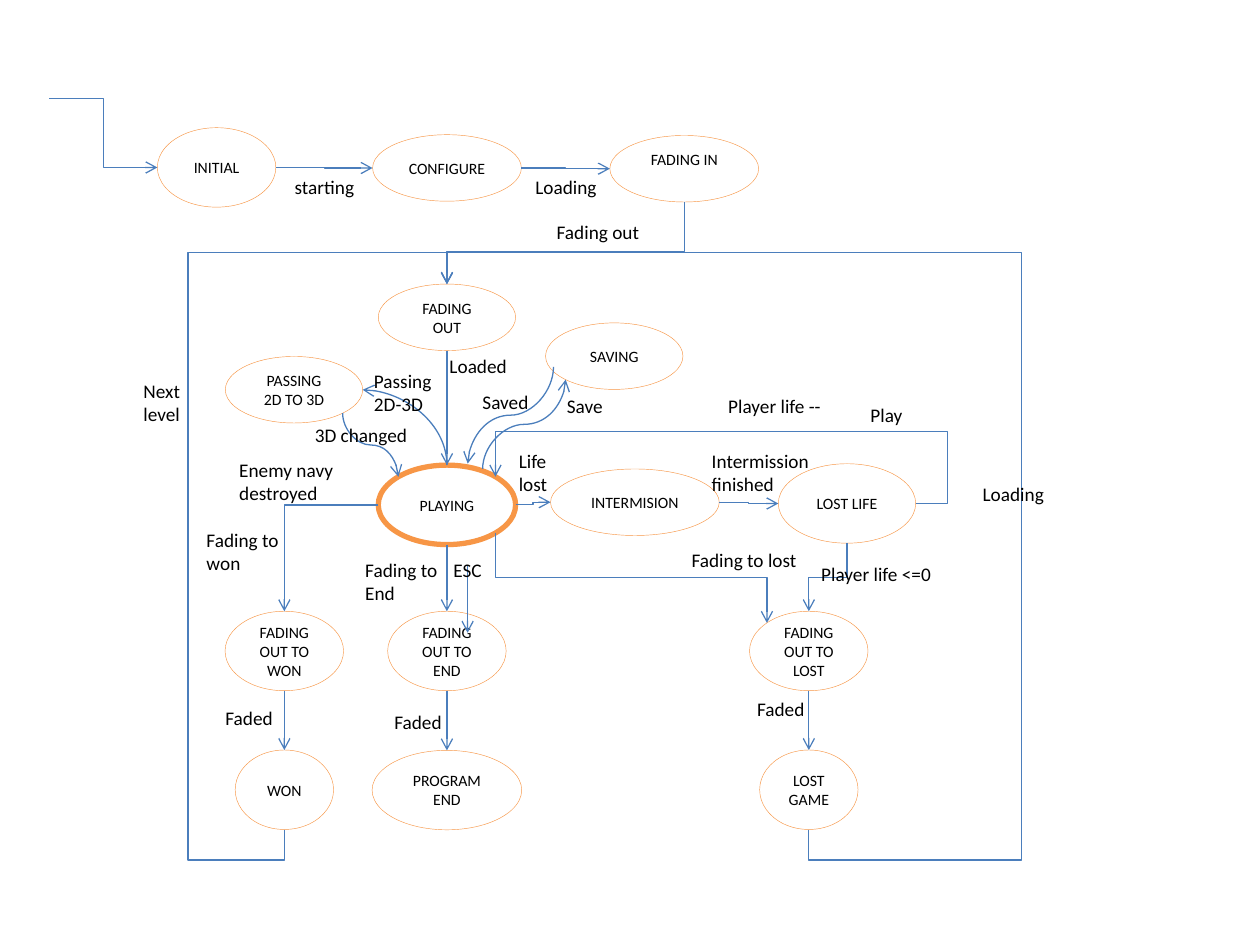
from lxml import etree
from pptx import Presentation
from pptx.dml.color import RGBColor
from pptx.enum.shapes import MSO_CONNECTOR, MSO_SHAPE
from pptx.enum.text import MSO_ANCHOR, MSO_AUTO_SIZE, PP_ALIGN
from pptx.oxml.ns import qn
from pptx.util import Pt

STRAIGHT, ELBOW, CURVE = MSO_CONNECTOR.STRAIGHT, MSO_CONNECTOR.ELBOW, MSO_CONNECTOR.CURVE
PRESETS = {ELBOW: "bentConnector", CURVE: "curvedConnector"}
WHITE = RGBColor(0xFF, 0xFF, 0xFF)
BLACK = RGBColor(0, 0, 0)
ORANGE = RGBColor(0xF7, 0x96, 0x46)
BLUE = RGBColor(0x4B, 0x7E, 0xBC)
FONT = "Calibri"
MIDDLE = "middle"

# key: (text, centre x, centre y, width, height)
STATES = {
    "initial": ("INITIAL", 123.8, 95.7, 67.7, 45.4),
    "configure": ("CONFIGURE", 255.4, 96, 85, 38),
    "fading in": ("FADING IN", 391, 96.4, 85, 38),
    "fading out": ("FADING OUT", 255.4, 181.3, 78.5, 38),
    "passing": ("PASSING 2D TO 3D", 168, 222.7, 78.5, 38),
    "saving": ("SAVING", 351, 203.5, 78.5, 38),
    "playing": ("PLAYING", 255.4, 288.5, 78.5, 45.4),
    "intermission": ("INTERMISION", 362.8, 287, 96.4, 38),
    "lost life": ("LOST LIFE", 484, 287.7, 78.5, 45.4),
    "to won": ("FADING OUT TO WON", 162.5, 372, 67.7, 45.4),
    "to end": ("FADING OUT TO END", 255.4, 372, 67.7, 45.4),
    "to lost": ("FADING OUT TO LOST", 462.2, 372, 67.7, 45.4),
    "won": ("WON", 162.5, 451.3, 56.2, 45.4),
    "program end": ("PROGRAM END", 255.4, 451.5, 85.5, 45.4),
    "lost game": ("LOST GAME", 462.2, 451.3, 56.2, 45.4),
}
CURRENT_STATE = "playing"

# An end is (state, side) or (x, y)
STRAIGHT_ARROWS = [
    (("fading out", "bottom"), ("playing", "top")),
    (("playing", "bottom"), ("to end", "top")),
    (("to end", "bottom"), ("program end", "top")),
    (("to won", "bottom"), ("won", "top")),
    (("to lost", "bottom"), ("lost game", "top")),
    ((267.2, 323.2), (267.2, 361.6)),
]

# (kind, first direction, start, end, positions of the turns)
ROUTED_ARROWS = [
    (ELBOW, "H", (28.2, 56.2), ("initial", "left"), [MIDDLE]),
    (ELBOW, "H", ("initial", "right"), ("configure", "left"), [MIDDLE]),
    (ELBOW, "H", ("configure", "right"), ("fading in", "left"), [MIDDLE]),
    (ELBOW, "V", ("fading in", "bottom"), ("fading out", "top"), [143.6]),
    (ELBOW, "H", ("playing", "right"), ("intermission", "left"), [MIDDLE]),
    (ELBOW, "H", ("intermission", "right"), ("lost life", "left"), [MIDDLE]),
    (ELBOW, "H", ("lost life", "right"), ("playing", "top right"), [541.4, 246.6]),
    (ELBOW, "V", ("lost life", "bottom"), ("to lost", "top"), [MIDDLE]),
    (ELBOW, "V", ("playing", "bottom right"), ("to lost", "top left"), [330]),
    (ELBOW, "H", ("playing", "left"), ("to won", "top"), []),
    (ELBOW, "V", ("won", "bottom"), ("fading out", "top"), [491.6, 107.4, 144.2]),
    (ELBOW, "V", ("lost game", "bottom"), ("fading out", "top"), [491.6, 583.8, 144.2]),
    (CURVE, "V", ("playing", "top"), ("passing", "right"), []),
    (CURVE, "V", ("passing", "bottom right"), ("playing", "top left"), [MIDDLE]),
    (CURVE, "V", (316.3, 209.6), (267.3, 264.9), [MIDDLE]),
    (CURVE, "V", (275.8, 268), ("saving", "bottom left"), [MIDDLE]),
]

# (lines, left, top, width)
LABELS = [
    (["starting"], 161.3, 96.5, 49), (["Loading"], 298.8, 96.5, 49.7),
    (["Fading out"], 311, 122.4, 62), (["Loaded"], 249.8, 198.7, 47.5),
    (["Passing", "2D-3D"], 206.6, 207.4, 47.5), (["3D changed"], 172.8, 238.3, 67.7),
    (["Saved"], 268.6, 219.6, 41), (["Save"], 316.8, 221.8, 35.3),
    (["Player life --"], 409, 221.8, 68.4), (["Play"], 490.3, 226.8, 33.1),
    (["Next", "level"], 74.9, 213.1, 36), (["Enemy navy", "destroyed"], 129.6, 258.5, 71.3),
    (["Life", "lost"], 289.4, 253.4, 31), (["Intermission", "finished"], 399.6, 253.4, 70.6),
    (["Loading"], 554.4, 272.2, 49.7), (["Fading to", "won"], 110.9, 298.1, 56.2),
    (["Fading to", "End"], 201.6, 315.4, 56.2), (["ESC"], 252, 315.4, 31),
    (["Fading to lost"], 388.1, 309.6, 79.2), (["Player life <=0"], 462.2, 317.5, 78.5),
    (["Faded"], 121.7, 400.3, 44.6), (["Faded"], 218.2, 402.5, 41.8),
    (["Faded"], 425.5, 394.6, 41.8),
]

# side: (connection site, x and y as parts of the half axes)
DIAGONAL = 0.7071
SIDES = {
    "top": (0, 0, -1), "top left": (1, -DIAGONAL, -DIAGONAL),
    "left": (2, -1, 0), "bottom left": (3, -DIAGONAL, DIAGONAL),
    "bottom": (4, 0, 1), "bottom right": (5, DIAGONAL, DIAGONAL),
    "right": (6, 1, 0), "top right": (7, DIAGONAL, -DIAGONAL),
}


def end_point(end):
    if end[0] not in STATES:
        return end
    _, x, y, width, height = STATES[end[0]]
    _, part_x, part_y = SIDES[end[1]]
    return x + part_x * width / 2, y + part_y * height / 2


def write_lines(frame, lines, size, align):
    for index, line in enumerate(lines):
        paragraph = frame.paragraphs[0] if index == 0 else frame.add_paragraph()
        paragraph.alignment = align
        run = paragraph.add_run()
        run.text = line
        for key, value in {"name": FONT, "size": Pt(size)}.items():
            setattr(run.font, key, value)
        run.font.color.rgb = BLACK


def add_state(shapes, key):
    text, x, y, width, height = STATES[key]
    oval = shapes.add_shape(MSO_SHAPE.OVAL, Pt(x - width / 2), Pt(y - height / 2),
                            Pt(width), Pt(height))
    oval.shadow.inherit = False
    oval.fill.solid()
    oval.fill.fore_color.rgb = WHITE
    oval.line.color.rgb = ORANGE
    oval.line.width = Pt(3 if key == CURRENT_STATE else 0.25)
    frame = oval.text_frame
    frame.vertical_anchor = MSO_ANCHOR.MIDDLE
    if key == "fading in":
        frame.margin_bottom = Pt(14.4)
    write_lines(frame, [text], 9, PP_ALIGN.CENTER)
    return oval


def style_arrow(arrow):
    arrow.line.color.rgb = BLUE
    arrow.line.width = Pt(0.75)
    properties = arrow._element.spPr
    etree.SubElement(properties.find(qn("a:ln")), qn("a:tailEnd"), type="arrow")
    etree.SubElement(properties, qn("a:effectLst"))


def add_straight_arrow(shapes, ovals, start, end):
    arrow = shapes.add_connector(STRAIGHT, *map(Pt, end_point(start) + end_point(end)))
    style_arrow(arrow)
    links = arrow._element.find(qn("p:nvCxnSpPr")).find(qn("p:cNvCxnSpPr"))
    for tag, (state, side) in (("a:stCxn", start), ("a:endCxn", end)):
        if state in ovals:
            etree.SubElement(links, qn(tag), id=str(ovals[state].shape_id),
                             idx=str(SIDES[side][0]))


def add_routed_arrow(shapes, kind, direction, start, end, turns):
    """Turns alternate between the two axes, beginning with the first direction."""
    start, end = end_point(start), end_point(end)
    dx, dy = end[0] - start[0], end[1] - start[1]
    vertical = direction == "V"
    width, height = (abs(dy), abs(dx)) if vertical else (abs(dx), abs(dy))
    left = (start[0] + end[0] - width) / 2
    top = (start[1] + end[1] - height) / 2
    arrow = shapes.add_connector(kind, *map(Pt, (left, top, left + width, top + height)))
    style_arrow(arrow)

    frame = arrow._element.spPr.find(qn("a:xfrm"))
    if vertical:
        frame.set("rot", str((270 if dx > 0 else 90) * 60000))
        flips = {"flipH": (dx > 0) == (dy > 0)}
    else:
        flips = {"flipH": dx < 0, "flipV": dy < 0}
    for flip, wanted in flips.items():
        frame.set(flip, str(int(wanted)))

    geometry = arrow._element.spPr.find(qn("a:prstGeom"))
    geometry.set("prst", f"{PRESETS[kind]}{len(turns) + 2}")
    guides = geometry.find(qn("a:avLst"))
    for index, turn in enumerate(turns):
        axis = (index + vertical) % 2
        part = 0.5 if turn == MIDDLE else (turn - start[axis]) / (end[axis] - start[axis])
        etree.SubElement(guides, qn("a:gd"), name=f"adj{index + 1}",
                         fmla=f"val {round(part * 100000)}")


def add_label(shapes, lines, left, top, width):
    height = 7.2 + 13.4 * len(lines)
    frame = shapes.add_textbox(Pt(left), Pt(top), Pt(width), Pt(height)).text_frame
    frame.word_wrap = False
    frame.auto_size = MSO_AUTO_SIZE.SHAPE_TO_FIT_TEXT
    write_lines(frame, lines, 11, PP_ALIGN.LEFT)


def main():
    deck = Presentation()
    deck.slide_width, deck.slide_height = Pt(720), Pt(540)
    shapes = deck.slides.add_slide(deck.slide_layouts[6]).shapes
    ovals = {key: add_state(shapes, key) for key in STATES}
    for ends in STRAIGHT_ARROWS:
        add_straight_arrow(shapes, ovals, *ends)
    for route in ROUTED_ARROWS:
        add_routed_arrow(shapes, *route)
    for label in LABELS:
        add_label(shapes, *label)
    deck.save("out.pptx")


if __name__ == "__main__":
    main()
